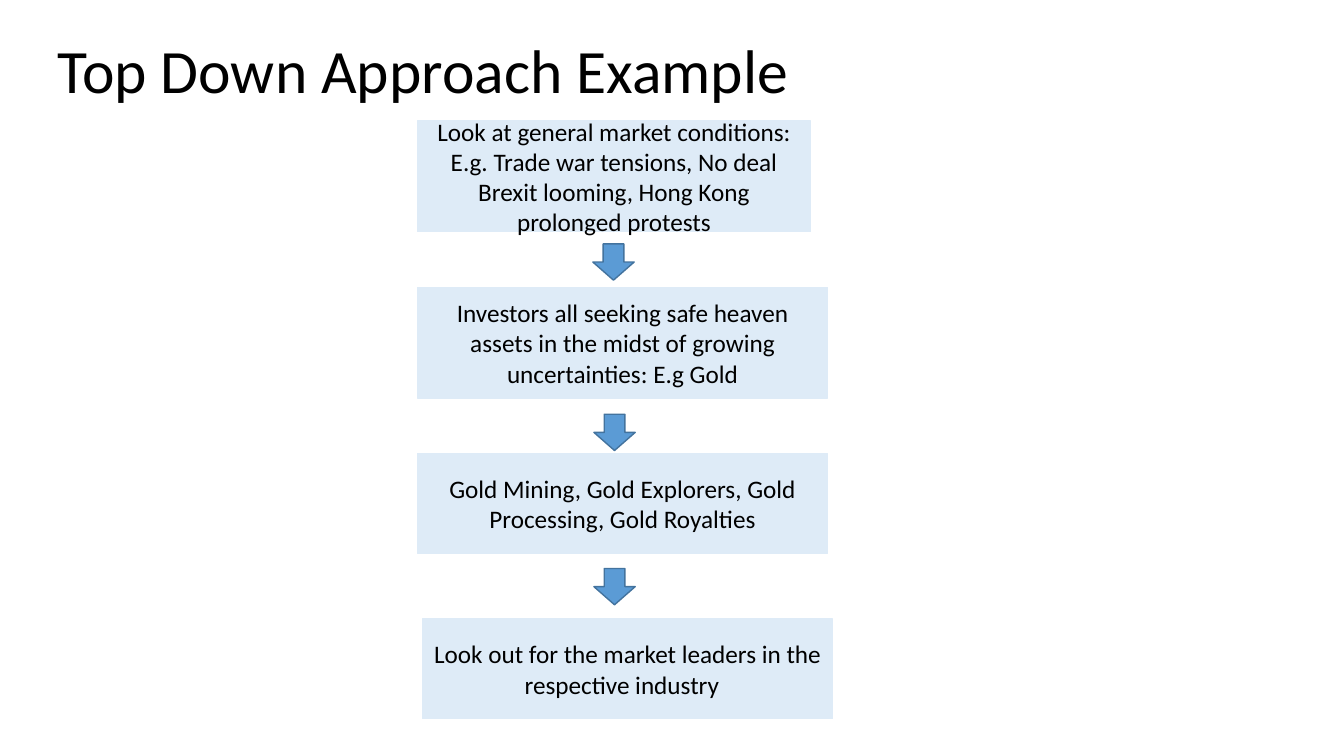
from pptx import Presentation
from pptx.dml.color import RGBColor
from pptx.enum.shapes import MSO_SHAPE
from pptx.enum.text import MSO_ANCHOR, PP_ALIGN
from pptx.util import Inches, Pt

RECT = MSO_SHAPE.RECTANGLE
DOWN = MSO_SHAPE.DOWN_ARROW
MIDDLE = MSO_ANCHOR.MIDDLE
LEFT = PP_ALIGN.LEFT
CENTER = PP_ALIGN.CENTER
FONT = "Calibri"
COLORS = {"text": "000000", "step": "DEEBF7", "arrow": "5B9BD5", "edge": "43739E"}

STEPS = [
    ("Look at general market conditions: E.g. Trade war tensions, "
     "No deal Brexit looming, Hong Kong prolonged protests", (0, 0, 3.9, 1.1)),
    ("Investors all seeking safe heaven assets in the midst of growing "
     "uncertainties: E.g Gold", (0, 1.65, 4.07, 1.1)),
    ("Gold Mining, Gold Explorers, Gold Processing, Gold Royalties",
     (0, 3.3, 4.07, 0.99)),
    ("Look out for the market leaders in the respective industry  ",
     (0.05, 4.94, 4.07, 0.99)),
]
ARROWS = [(1.74, 1.22), (1.75, 2.91), (1.75, 4.44)]


def color(name):
    return RGBColor.from_string(COLORS[name])


def write(frame, text, size, align):
    frame.word_wrap = True
    frame.vertical_anchor = MIDDLE
    para = frame.paragraphs[0]
    para.alignment = align
    run = para.add_run()
    run.text = text
    run.font.name = FONT
    run.font.size = Pt(size)
    run.font.color.rgb = color("text")
    return para


def add_title(slide, box, text):
    title = slide.shapes.title
    title.left, title.top, title.width, title.height = map(Inches, box)
    para = write(title.text_frame, text, 44, LEFT)
    para.line_spacing = 0.9


def add_block(slide, kind, box, fill, edge):
    shape = slide.shapes.add_shape(kind, *map(Inches, box))
    shape.shadow.inherit = False
    shape.fill.solid()
    shape.fill.fore_color.rgb = color(fill)
    shape.line.color.rgb = color(edge)
    shape.line.width = Pt(1)
    return shape


def add_flow(slide, left, top):
    for text, (x, y, width, height) in STEPS:
        box = (left + x, top + y, width, height)
        step = add_block(slide, RECT, box, "step", "step")
        write(step.text_frame, text, 18, CENTER)
    for x, y in ARROWS:
        add_block(slide, DOWN, (left + x, top + y, 0.41, 0.36), "arrow", "edge")


def main():
    deck = Presentation()
    deck.slide_width = Inches(13.33)
    deck.slide_height = Inches(7.5)
    slide = deck.slides.add_slide(deck.slide_layouts[5])
    add_title(slide, (0.47, 0, 11.5, 1.45), "Top Down Approach Example")
    add_flow(slide, 4.14, 1.2)
    deck.save("out.pptx")


if __name__ == "__main__":
    main()
